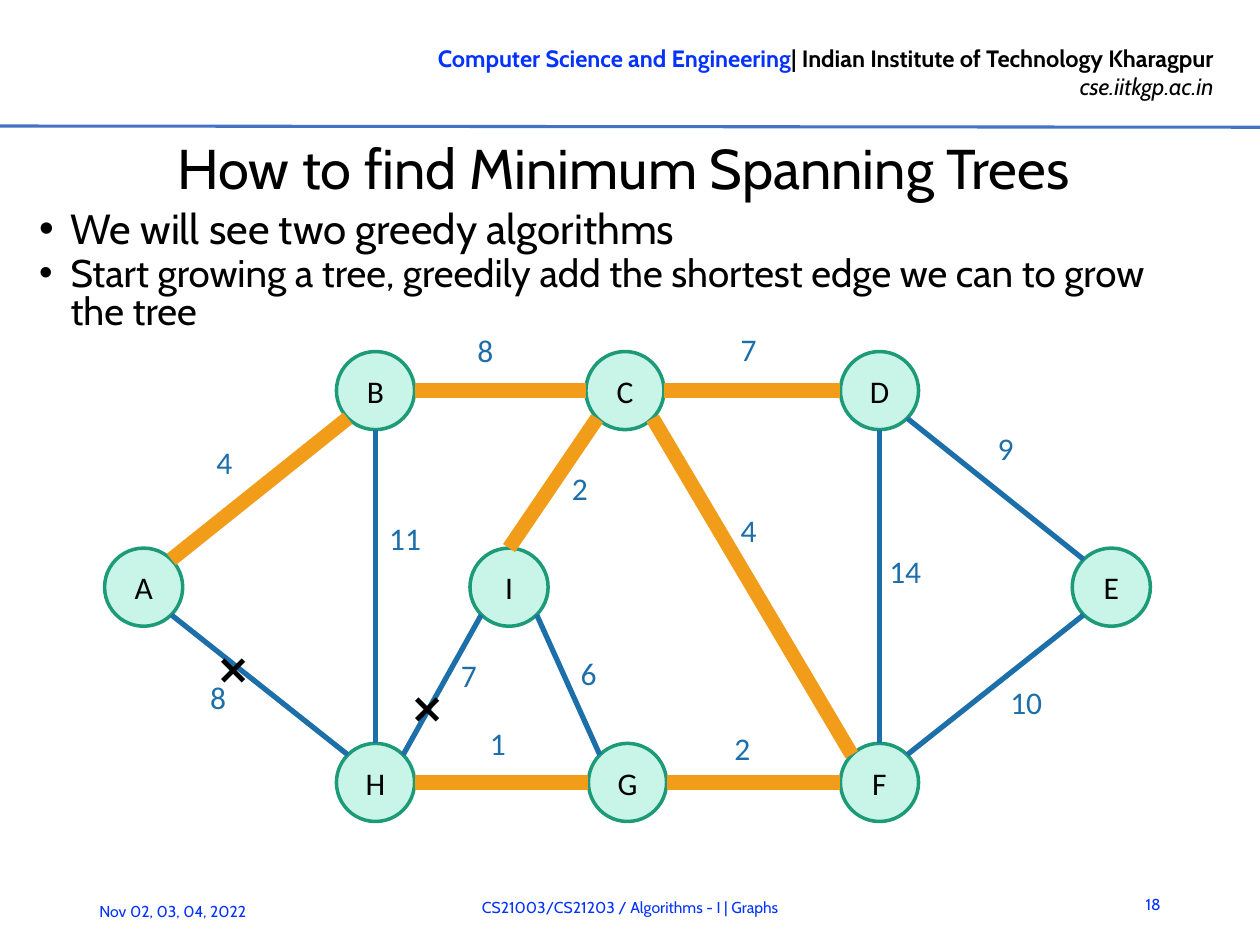
import pptx
import pptx.util
import pptx.dml.color
import pptx.enum.shapes
import pptx.enum.text
import pptx.oxml

PX = 9144  # EMU per px, 100 px to the inch
ALIGN = pptx.enum.text.PP_ALIGN
ANCHOR = pptx.enum.text.MSO_ANCHOR

THEME = {
    "text_font": "Cabin", "graph_font": "Calibri",
    "black": "000000", "link": "0432FF", "rule": "4472C4",
    "edge": "1D6FA9", "tree": "F19D19", "node": "C8F5E8", "ring": "1D9A78",
    "title": 32, "header": 13.5, "footer": 9, "label": 18, "cross": 24,
    "edge_width": 3, "tree_width": 8.25, "ring_width": 2, "rule_width": 1.75,
}

# Content
TITLE = "How to find Minimum Spanning Trees"
BULLETS = [
    ("We will see two greedy algorithms", 24),
    ("Start growing a tree, greedily add the shortest edge we can to grow the tree", 22),
]
HEADER = ("Computer Science and Engineering",
          "| Indian Institute of Technology Kharagpur", "cse.iitkgp.ac.in")
FOOTERS = [  # text, box, alignment
    ("Nov 02, 03, 04, 2022", (69, 703, 175, 40), ALIGN.LEFT),
    ("CS21003/CS21203 / Algorithms - I | Graphs", (165, 700, 670, 40), ALIGN.CENTER),
    ("18", (882, 698, 49, 40), ALIGN.RIGHT),
]
RADIUS, DIAGONAL = 31, 22
NODES = {  # centres
    "A": (114, 466), "B": (298, 310), "C": (496, 310), "D": (698, 310),
    "E": (882, 466), "F": (698, 621), "G": (498, 621), "H": (298, 621),
    "I": (404, 466),
}
EDGES = [  # ends, weight, label corner, in the tree
    ("AB", 4, (162, 347), True), ("BC", 8, (369, 258), True),
    ("CD", 7, (578, 257), True), ("IC", 2, (444, 367), True),
    ("CF", 4, (578, 401), True), ("HG", 1, (379, 570), True),
    ("GF", 2, (573, 574), True), ("AH", 8, (157, 533), False),
    ("BH", 11, (299, 407), False), ("IH", 7, (356, 516), False),
    ("IG", 6, (451, 514), False), ("DF", 14, (696, 433), False),
    ("DE", 9, (782, 336), False), ("EF", 10, (792, 537), False),
]
TOP_SITES = {("I", "C")}  # edges that leave from the top of the node
CROSSES = [(318, 537), (164, 506)]


def emu(*lengths):
    return [pptx.util.Emu(n * PX) for n in lengths]


def rgb(name):
    return pptx.dml.color.RGBColor.from_string(THEME[name])


def style(p, size, color, font="text_font"):
    for r in p.runs:
        r.font.size = pptx.util.Pt(size)
        r.font.name = THEME[font]
        r.font.color.rgb = rgb(color)


def add_text(text, box, size, color, font="text_font", align=ALIGN.LEFT,
             anchor=ANCHOR.TOP, wrap=True):
    tf = slide.shapes.add_textbox(*emu(*box)).text_frame
    tf.word_wrap = wrap
    tf.vertical_anchor = anchor
    p = tf.paragraphs[0]
    p.text = text
    p.alignment = align
    style(p, size, color, font)
    return tf


def add_line(start, end, color, width):
    line = slide.shapes.add_connector(
        pptx.enum.shapes.MSO_CONNECTOR.STRAIGHT, *emu(*start, *end))
    line.line.color.rgb = rgb(color)
    line.line.width = pptx.util.Pt(width)
    line._element.spPr.append(pptx.oxml.parse_xml(
        '<a:effectLst xmlns:a="http://schemas.openxmlformats.org/drawingml/2006/main"/>'))


def place(sp, box):
    sp.left, sp.top, sp.width, sp.height = emu(*box)


def sign(n):
    return (n > 0) - (n < 0)


def site(node, other):
    """Point on the ring of node where its edge to other is attached."""
    x, y = NODES[node]
    if (node, other) in TOP_SITES:
        return x, y - RADIUS
    dx, dy = sign(NODES[other][0] - x), sign(NODES[other][1] - y)
    reach = DIAGONAL if dx and dy else RADIUS
    return x + dx * reach, y + dy * reach


prs = pptx.Presentation()
prs.slide_width, prs.slide_height = emu(1000, 750)
slide = prs.slides.add_slide(prs.slide_layouts[1])

# Header
tf = add_text(HEADER[0], (265, 30, 708, 56), THEME["header"], "link",
              align=ALIGN.RIGHT)
p = tf.paragraphs[0]
p.add_run().text = HEADER[1]
style(p, THEME["header"], "black")
p.runs[0].font.color.rgb = rgb("link")
for r in p.runs:
    r.font.bold = True
p = tf.add_paragraph()
p.text = HEADER[2]
p.alignment = ALIGN.RIGHT
style(p, THEME["header"], "black")
p.runs[0].font.italic = True
add_line((0, 100), (1000, 101), "rule", THEME["rule_width"])

# Title
title = slide.shapes.title
place(title, (32, 105, 926, 55))
tf = title.text_frame
tf.text = TITLE
tf.auto_size = pptx.enum.text.MSO_AUTO_SIZE.NONE
tf.vertical_anchor = ANCHOR.MIDDLE
tf.margin_left = tf.margin_right = tf.margin_top = tf.margin_bottom = 0
tf.paragraphs[0].alignment = ALIGN.CENTER
style(tf.paragraphs[0], THEME["title"], "black")

# Bullets
body = slide.placeholders[1]
place(body, (21, 166, 937, 541))
tf = body.text_frame
tf.text = "\n".join(text for text, size in BULLETS)
tf.auto_size = pptx.enum.text.MSO_AUTO_SIZE.NONE
for i, (p, (text, size)) in enumerate(zip(tf.paragraphs, BULLETS)):
    pPr = p._p.get_or_add_pPr()
    pPr.set("marL", str(25 * PX))
    pPr.set("indent", str(-25 * PX))
    p.line_spacing = pptx.util.Pt(21.6)
    p.space_before = pptx.util.Pt(1.3 if i else 0)
    p.space_after = pptx.util.Pt(1.3)
    style(p, size, "black")

# Footer
for text, box, align in FOOTERS:
    add_text(text, box, THEME["footer"], "link", align=align, anchor=ANCHOR.MIDDLE)

# Graph nodes
for name, (x, y) in NODES.items():
    sp = slide.shapes.add_shape(
        pptx.enum.shapes.MSO_SHAPE.OVAL,
        *emu(x - RADIUS, y - RADIUS, 2 * RADIUS, 2 * RADIUS))
    sp.shadow.inherit = False
    sp.fill.solid()
    sp.fill.fore_color.rgb = rgb("node")
    sp.line.color.rgb = rgb("ring")
    sp.line.width = pptx.util.Pt(THEME["ring_width"])
    sp.text_frame.text = name
    p = sp.text_frame.paragraphs[0]
    p.alignment = ALIGN.CENTER
    style(p, THEME["label"], "black", "graph_font")

# Graph edges, then their weights
for (a, b), weight, corner, in_tree in EDGES:
    kind = "tree" if in_tree else "edge"
    add_line(site(a, b), site(b, a), kind, THEME[kind + "_width"])
for ends, weight, corner, in_tree in EDGES:
    add_text(str(weight), (*corner, 86, 50), THEME["label"], "edge", "graph_font")

# Rejected edges
for corner in CROSSES:
    add_text("❌", (*corner, 54, 50), THEME["cross"], "black", "graph_font", wrap=False)

prs.save("out.pptx")
